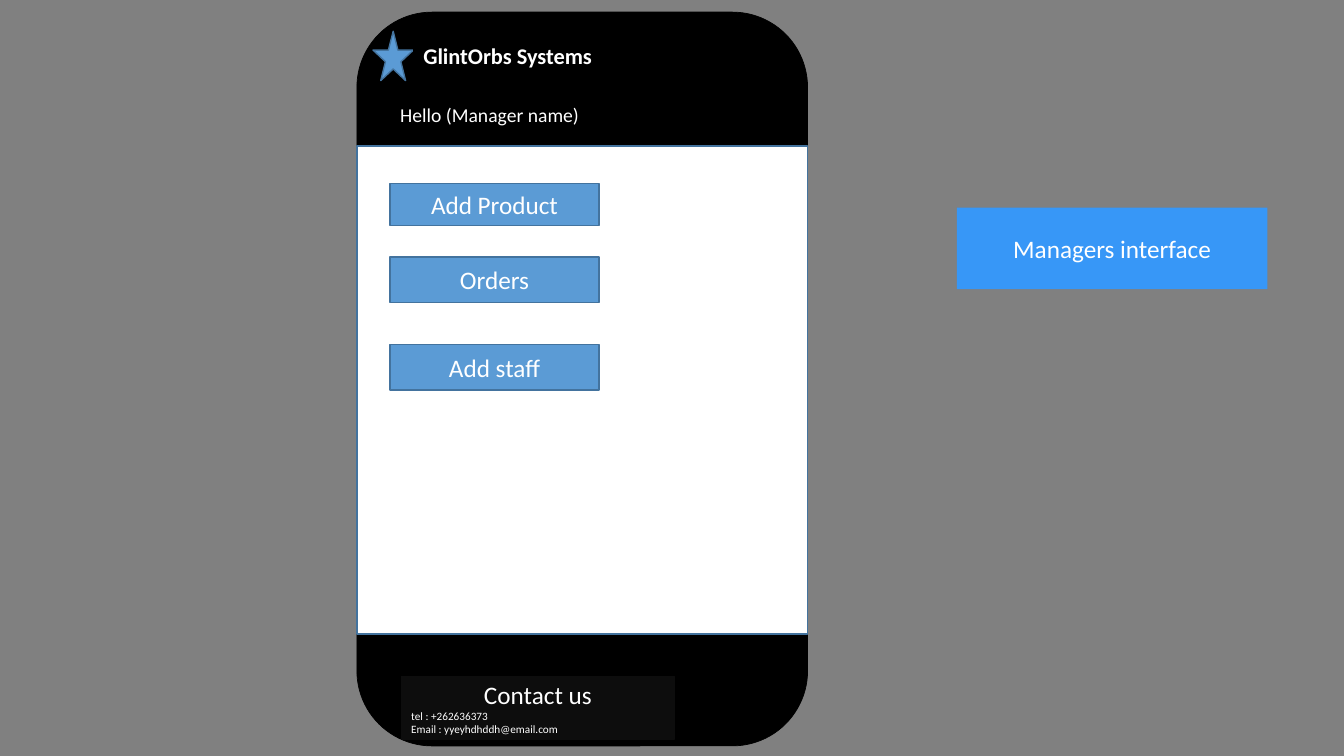
from lxml.etree import SubElement
from pptx import Presentation
from pptx.dml.color import RGBColor
from pptx.enum.shapes import MSO_SHAPE as Shape
from pptx.enum.text import MSO_ANCHOR as Anchor, PP_ALIGN as Align
from pptx.oxml.ns import qn
from pptx.util import Inches, Pt

COLORS = {
    "backdrop": "808080", "black": "000000", "white": "FFFFFF", "button": "5B9BD5",
    "edge": "43739E", "footer": "0D0D0D", "label": "3399FF",
}
TITLE = "GlintOrbs Systems"
GREETING = "Hello (Manager name)"
CONTACT_HEADING = "Contact us"
CONTACT_LINES = ["tel : +262636373", "Email : yyeyhdhddh@email.com"]
BUTTONS = [("Add Product", 1.82, 0.42), ("Orders", 2.55, 0.45), ("Add staff", 3.42, 0.45)]
LABEL = "Managers interface"

PHONE_LEFT, PHONE_WIDTH = 3.54, 4.47
MENU_LEFT, MENU_WIDTH = 3.87, 2.07
HEADER_TOP, HEADER_HEIGHT = 0.31, 0.49


def color(name):
    """Return the named colour."""
    return RGBColor.from_string(COLORS[name])


def add_box(page, bounds, fill, edge=None, kind=Shape.RECTANGLE, weight=1):
    """Draw a filled shape, outlined when an edge colour is named."""
    box = page.shapes.add_shape(kind, *map(Inches, bounds))
    box.shadow.inherit = False
    box.fill.solid()
    box.fill.fore_color.rgb = color(fill)
    if edge:
        box.line.color.rgb = color(edge)
        box.line.width = Pt(weight)
    else:
        box.line.fill.background()
    return box


def write(box, text, size=18, bold=False, align=Align.CENTER):
    """Add a paragraph of white text to a box."""
    frame = box.text_frame
    frame.word_wrap = True
    frame.vertical_anchor = Anchor.MIDDLE
    para = frame.add_paragraph() if frame.text else frame.paragraphs[0]
    para.alignment = align
    span = para.add_run()
    span.text = text
    span.font.name = "Calibri"
    span.font.size = Pt(size)
    span.font.bold = bold
    span.font.color.rgb = color("white")


def set_opacity(box, percent):
    """Make the fill of a box partly transparent."""
    tint = box.fill._xPr.find(qn("a:solidFill")).find(qn("a:srgbClr"))
    SubElement(tint, qn("a:alpha")).set("val", str(percent * 1000))


def main():
    """Build the manager screen and save the deck."""
    deck = Presentation()
    deck.slide_width, deck.slide_height = Inches(13.33), Inches(7.5)
    page = deck.slides.add_slide(deck.slide_layouts[6])
    page.background.fill.solid()
    page.background.fill.fore_color.rgb = color("backdrop")

    add_box(page, (PHONE_LEFT, 0.12, PHONE_WIDTH, 7.28), "black", "black",
            Shape.ROUNDED_RECTANGLE, 0.5)
    add_box(page, (3.7, HEADER_TOP, 0.4, HEADER_HEIGHT), "button", "edge", Shape.STAR_5_POINT)
    title = add_box(page, (4.1, HEADER_TOP, 1.92, HEADER_HEIGHT), "black", "black")
    write(title, TITLE, size=16, bold=True, align=Align.LEFT)
    greeting = add_box(page, (MENU_LEFT, 0.98, MENU_WIDTH, 0.31), "black", "black")
    write(greeting, GREETING, size=14, align=Align.LEFT)
    add_box(page, (PHONE_LEFT, 1.45, PHONE_WIDTH, 4.84), "white", "edge")

    contact = add_box(page, (3.98, 6.71, 2.71, 0.62), "footer", "footer")
    write(contact, CONTACT_HEADING)
    for line in CONTACT_LINES:
        write(contact, line, size=8, align=Align.LEFT)

    for text, top, height in BUTTONS:
        button = add_box(page, (MENU_LEFT, top, MENU_WIDTH, height), "button", "edge")
        write(button, text)

    label = add_box(page, (9.49, 2.06, 3.08, 0.81), "label")
    set_opacity(label, 94)
    write(label, LABEL)
    deck.save("out.pptx")


if __name__ == "__main__":
    main()
